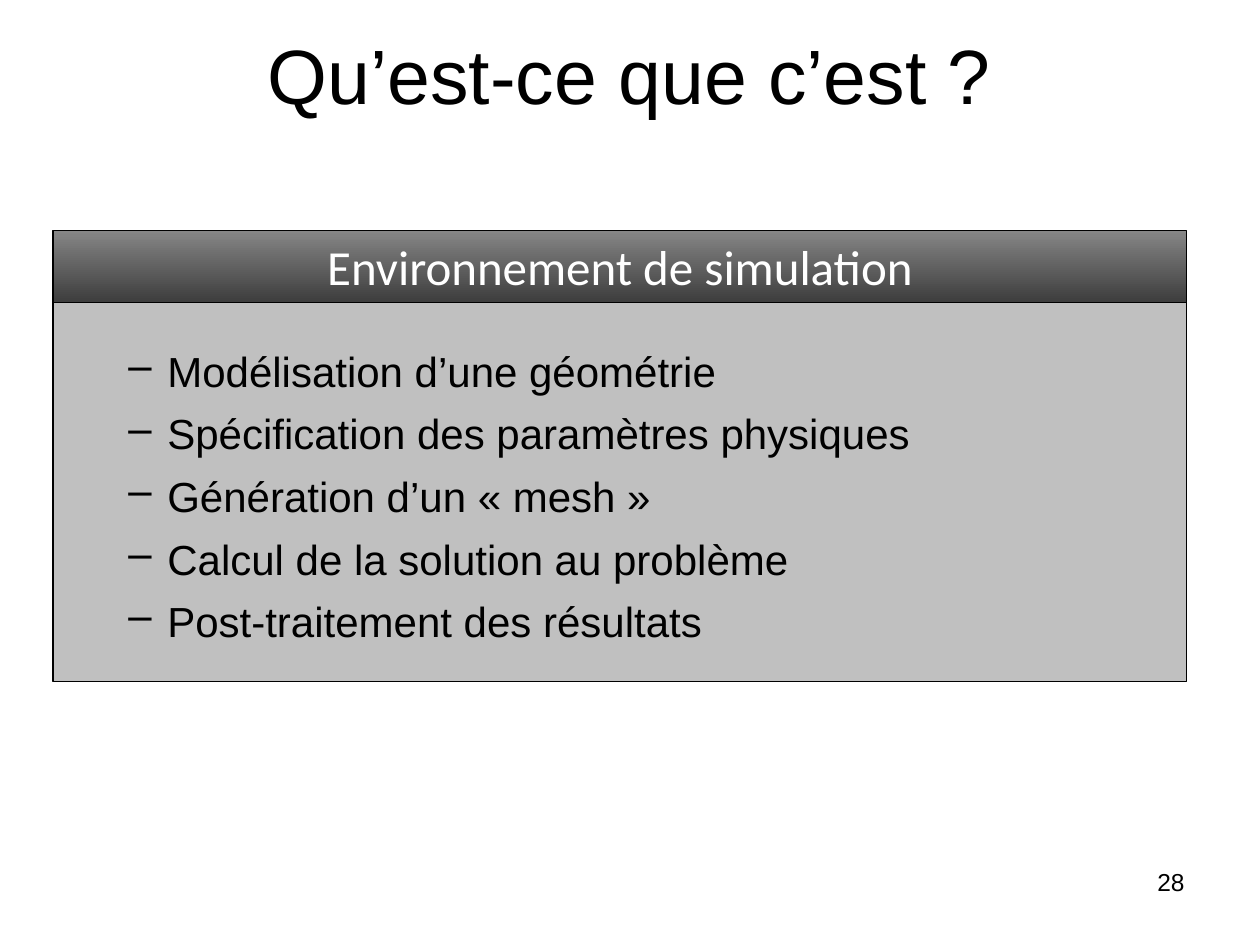
from dataclasses import dataclass
from typing import Optional

from lxml.etree import SubElement
from pptx import Presentation
from pptx.dml.color import RGBColor
from pptx.enum.shapes import MSO_SHAPE
from pptx.enum.text import MSO_ANCHOR, PP_ALIGN
from pptx.oxml.ns import qn
from pptx.util import Inches, Pt


@dataclass(frozen=True)
class Theme:
    black: RGBColor = RGBColor(0x00, 0x00, 0x00)
    white: RGBColor = RGBColor(0xFF, 0xFF, 0xFF)
    panel: RGBColor = RGBColor(0xC0, 0xC0, 0xC0)
    band_top: RGBColor = RGBColor(0x86, 0x86, 0x86)
    band_bottom: RGBColor = RGBColor(0x3E, 0x3E, 0x3E)
    font: str = "Arial"
    band_font: str = "Calibri"
    title_size: float = 44
    band_size: float = 28
    item_size: float = 24
    number_size: float = 14
    outline: float = 0.75


@dataclass(frozen=True)
class Box:
    left: float
    top: float
    width: float
    height: float

    def lengths(self) -> tuple:
        return tuple(map(Inches, (self.left, self.top, self.width, self.height)))


THEME = Theme()
STEPS = [
    "Modélisation d’une géométrie",
    "Spécification des paramètres physiques",
    "Génération d’un « mesh »",
    "Calcul de la solution au problème",
    "Post-traitement des résultats",
]


def write_text(shape, *lines: str, size: float, font: str = THEME.font,
               color: RGBColor = THEME.black, align=PP_ALIGN.LEFT,
               anchor=MSO_ANCHOR.TOP, inset_top: float = 0.05,
               gap: float = 0, bullet: Optional[str] = None) -> None:
    frame = shape.text_frame
    frame.word_wrap = True
    frame.vertical_anchor = anchor
    frame.margin_top = Inches(inset_top)
    for index, line in enumerate(lines):
        paragraph = frame.add_paragraph() if index else frame.paragraphs[0]
        paragraph.alignment = align
        if index:
            paragraph.space_before = Pt(gap)
        if bullet:
            paragraph.level = 1
            properties = paragraph._p.get_or_add_pPr()
            properties.set("marL", str(Inches(0.81)))
            properties.set("indent", str(-Inches(0.31)))
            SubElement(properties, qn("a:buChar")).set("char", bullet)
        run = paragraph.add_run()
        run.text = line
        run.font.size = Pt(size)
        run.font.name = font
        run.font.color.rgb = color


def add_panel(slide, box: Box, *colors: RGBColor):
    panel = slide.shapes.add_shape(MSO_SHAPE.RECTANGLE, *box.lengths())
    panel.shadow.inherit = False
    panel.line.color.rgb = THEME.black
    panel.line.width = Pt(THEME.outline)
    if len(colors) == 1:
        panel.fill.solid()
        panel.fill.fore_color.rgb = colors[0]
    else:
        panel.fill.gradient()
        panel.fill.gradient_angle = 270
        for stop, color in zip(panel.fill.gradient_stops, colors):
            stop.color.rgb = color
    return panel


def main() -> None:
    deck = Presentation()
    deck.slide_width, deck.slide_height = Inches(10), Inches(7.5)
    slide = deck.slides.add_slide(deck.slide_layouts[6])

    page_number = slide.shapes.add_textbox(*Box(7.17, 6.83, 2.33, 0.52).lengths())
    write_text(page_number, "28", size=THEME.number_size, align=PP_ALIGN.RIGHT)

    title = slide.shapes.add_textbox(*Box(0, 0, 10, 1.17).lengths())
    write_text(title, "Qu’est-ce que c’est ?", size=THEME.title_size,
               align=PP_ALIGN.CENTER, anchor=MSO_ANCHOR.MIDDLE)

    steps = add_panel(slide, Box(0.42, 2.33, 9, 3.08), THEME.panel)
    write_text(steps, *STEPS, size=THEME.item_size, inset_top=0.41, gap=7, bullet="–")

    heading = add_panel(slide, Box(0.42, 1.83, 9, 0.57),
                        THEME.band_top, THEME.band_bottom)
    write_text(heading, "Environnement de simulation", size=THEME.band_size,
               font=THEME.band_font, color=THEME.white, align=PP_ALIGN.CENTER)

    deck.save("out.pptx")


if __name__ == "__main__":
    main()
